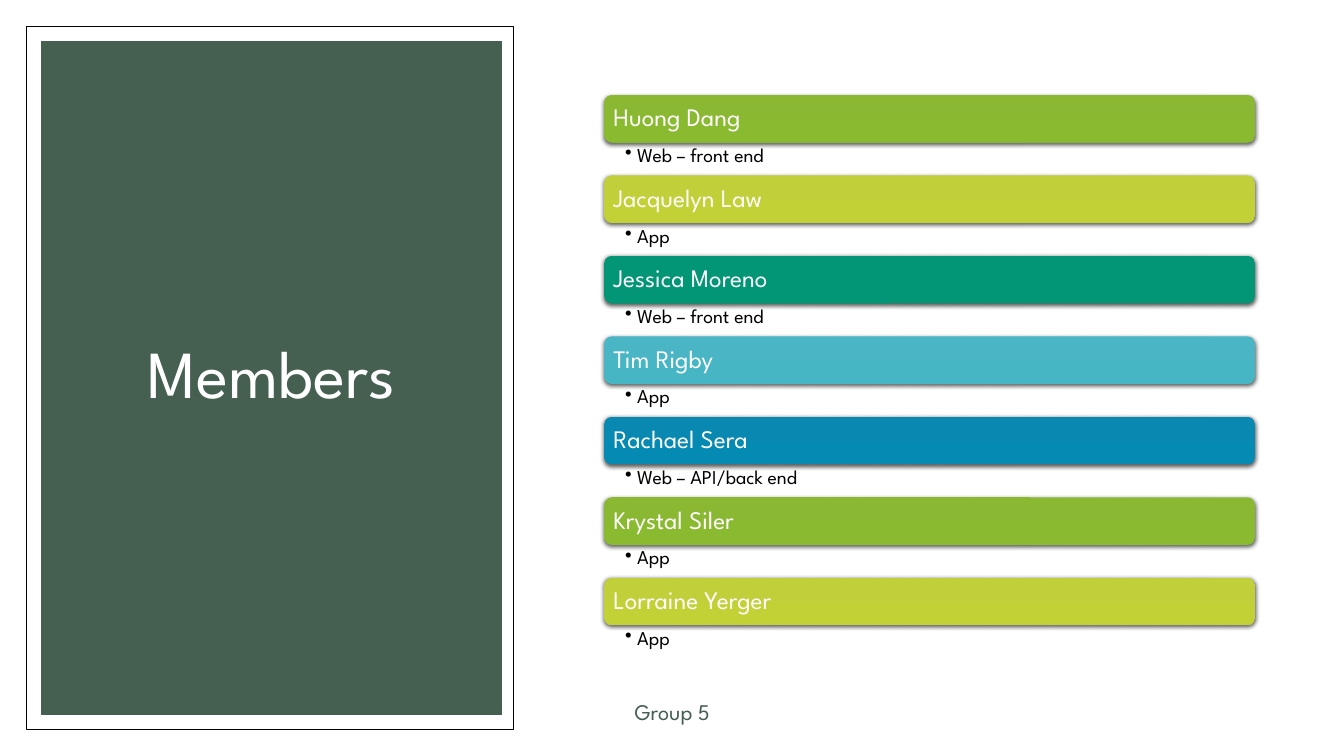
import dataclasses
import lxml.etree
import pptx
import pptx.dml.color
import pptx.enum.shapes
import pptx.enum.text
import pptx.oxml.ns
import pptx.util

SHAPE = pptx.enum.shapes.MSO_SHAPE
ANCHOR = pptx.enum.text.MSO_ANCHOR
ALIGN = pptx.enum.text.PP_ALIGN
qn = pptx.oxml.ns.qn


@dataclasses.dataclass(frozen=True)
class Theme:
    """Colours, font and type sizes of the slide."""
    font: str = "League Spartan"
    dark: str = "455F51"
    white: str = "FFFFFF"
    black: str = "000000"
    bars: tuple = (("8AB833", "8ABA2F"), ("C0CF3A", "C1D136"), ("029676", "009776"),
                   ("4AB5C4", "46B6C5"), ("0989B1", "058AB4"))
    title: int = 48
    name: int = 18
    role: int = 14
    foot: int = 16


class Page:
    """Draws styled elements on a grid of 160 columns by 90 rows."""

    def __init__(self, deck, theme):
        """Add a blank slide and measure its grid."""
        self.theme = theme
        self.slide = deck.slides.add_slide(deck.slide_layouts[6])
        self.unit = deck.slide_height / 90

    def grid(self, *cells):
        """Turn grid counts into lengths."""
        return [pptx.util.Emu(round(cell * self.unit)) for cell in cells]

    def color(self, code):
        """Return the colour of a hex code."""
        return pptx.dml.color.RGBColor.from_string(code)

    def letter(self, shape, text, size, color, anchor, align, pads, lead=0.9):
        """Put one styled paragraph into a shape."""
        frame = shape.text_frame
        frame.word_wrap = True
        frame.vertical_anchor = anchor
        (frame.margin_left, frame.margin_top,
         frame.margin_right, frame.margin_bottom) = self.grid(*pads)
        para = frame.paragraphs[0]
        para.text = text
        para.alignment = align
        para.line_spacing = lead
        para.font.name = self.theme.font
        para.font.size = pptx.util.Pt(size)
        para.font.color.rgb = self.color(color)
        return para

    def panel(self, box, fill, line=None):
        """Draw a flat rectangle."""
        shape = self.slide.shapes.add_shape(SHAPE.RECTANGLE, *self.grid(*box))
        shape.shadow.inherit = False
        shape.fill.solid()
        shape.fill.fore_color.rgb = self.color(fill)
        if line:
            shape.line.color.rgb = self.color(line)
            shape.line.width = pptx.util.Pt(0.5)
        else:
            shape.line.fill.background()

    def label(self, box, text, size, color, anchor, align=ALIGN.CENTER,
              pads=(1.2, 0.6, 1.2, 0.6), lead=0.9):
        """Add a text box and return its paragraph."""
        shape = self.slide.shapes.add_textbox(*self.grid(*box))
        return self.letter(shape, text, size, color, anchor, align, pads, lead)

    def bar(self, box, text, tones):
        """Draw a rounded name bar with gradient and shadow."""
        shape = self.slide.shapes.add_shape(SHAPE.ROUNDED_RECTANGLE, *self.grid(*box))
        shape.fill.gradient()
        shape.fill.gradient_angle = 270
        for stop, tone in zip(shape.fill.gradient_stops, tones):
            stop.color.rgb = self.color(tone)
        shape.line.fill.background()
        self.shade(shape)
        self.letter(shape, text, self.theme.name, self.theme.white,
                    ANCHOR.MIDDLE, ALIGN.LEFT, [0.84] * 4)

    def shade(self, shape):
        """Give a shape a soft shadow below."""
        shape.shadow.inherit = False
        effects = shape._element.spPr.find(qn("a:effectLst"))
        shadow = lxml.etree.SubElement(
            effects, qn("a:outerShdw"), blurRad=str(pptx.util.Pt(3)),
            dist=str(pptx.util.Pt(1)), dir="5400000", algn="ctr", rotWithShape="0")
        tint = lxml.etree.SubElement(shadow, qn("a:srgbClr"), val=self.theme.black)
        lxml.etree.SubElement(tint, qn("a:alpha"), val="63000")

    def role(self, box, text):
        """Add a bulleted role line."""
        para = self.label(box, text, self.theme.role, self.theme.black,
                          ANCHOR.TOP, ALIGN.LEFT, (2.5, 0.36, 1.7, 0.36))
        props = para._p.get_or_add_pPr()
        dent = self.grid(1.44)[0]
        props.set("marL", str(dent))
        props.set("indent", str(-dent))
        mark = lxml.etree.SubElement(props, qn("a:buChar"), char="•")
        props.find(qn("a:defRPr")).addprevious(mark)


MEMBERS = (
    ("Huong Dang", "Web – front end"),
    ("Jacquelyn Law", "App"),
    ("Jessica Moreno", "Web – front end"),
    ("Tim Rigby", "App"),
    ("Rachael Sera", "Web – API/back end"),
    ("Krystal Siler", "App"),
    ("Lorraine Yerger", "App"),
)

deck = pptx.Presentation()
deck.slide_width = pptx.util.Inches(13.33)
deck.slide_height = pptx.util.Inches(7.5)
theme = Theme()
page = Page(deck, theme)

page.panel((3.12, 3.12, 58, 83.76), theme.white, theme.black)
page.panel((4.9, 4.9, 54.84, 80.2), theme.dark)
page.label((7.56, 8.88, 49.44, 71.88), "Members", theme.title, theme.white, ANCHOR.MIDDLE)

left, top, wide = 71.9, 11.3, 77.5
tall, drop = 5.68, 3.9
for row, (name, role) in enumerate(MEMBERS):
    edge = top + row * (tall + drop)
    page.bar((left, edge, wide, tall), name, theme.bars[row % len(theme.bars)])
    page.role((left, edge + tall, wide, drop), role)

page.label((67, 81.6, 26, 5.28), "Group 5", theme.foot, theme.dark, ANCHOR.BOTTOM, lead=1.0)

deck.save("out.pptx")
